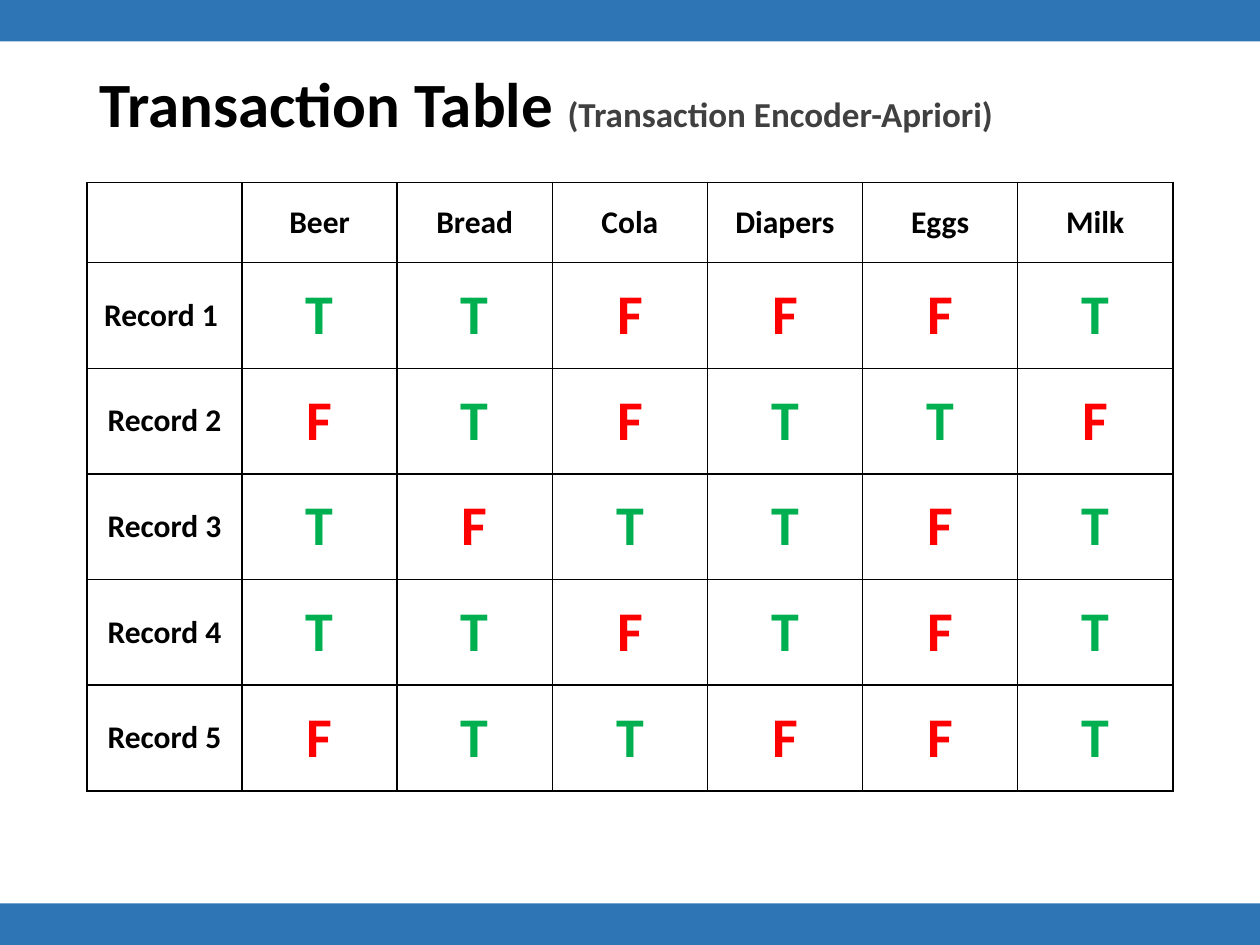
from lxml import etree
from pptx import Presentation
from pptx import util as u
from pptx.dml.color import RGBColor
from pptx.enum import shapes, text
from pptx.oxml.ns import qn

BLUE, BLACK, GREY, GREEN, RED = "2E75B6", "000000", "404040", "00B050", "FF0000"
ITEMS = ["Beer", "Bread", "Cola", "Diapers", "Eggs", "Milk"]
RECORDS = {
    "Record 1 ": "TTFFFT",
    "Record 2": "FTFTTF",
    "Record 3": "TFTTFT",
    "Record 4": "TTFTFT",
    "Record 5": "FTTFFT",
}


def rgb(value):
    return RGBColor.from_string(value)


class Deck:
    font = "Calibri"
    width, height = u.Inches(10), u.Inches(7.5)

    def __init__(self):
        self.prs = Presentation()
        self.prs.slide_width, self.prs.slide_height = self.width, self.height
        self.s = self.prs.slides.add_slide(self.prs.slide_layouts[5])

    def box(self, x, y, w, h):
        return (int(x * self.width), int(y * self.height),
                int(w * self.width), int(h * self.height))

    def style(self, r, size, color):
        r.font.name, r.font.size, r.font.bold = self.font, u.Pt(size), True
        r.font.color.rgb = rgb(color)

    def bar(self, y, h, color):
        sp = self.s.shapes.add_shape(shapes.MSO_SHAPE.RECTANGLE, *self.box(0, y, 1, h))
        sp.shadow.inherit = False
        sp.fill.solid()
        sp.fill.fore_color.rgb = rgb(color)
        sp.line.fill.background()

    def title(self, parts, *area):
        sp = self.s.shapes.title
        sp.left, sp.top, sp.width, sp.height = self.box(*area)
        tf = sp.text_frame
        tf.vertical_anchor = text.MSO_ANCHOR.MIDDLE
        p = tf.paragraphs[0]
        p.alignment, p.line_spacing = text.PP_ALIGN.LEFT, 0.9
        for words, size, color in parts:
            r = p.add_run()
            r.text = words
            self.style(r, size, color)

    def borders(self, cell, color, points):
        props = cell._tc.get_or_add_tcPr()
        for i, side in enumerate(("lnL", "lnR", "lnT", "lnB")):
            ln = etree.Element(qn("a:" + side), w=str(u.Pt(points)))
            fill = etree.SubElement(ln, qn("a:solidFill"))
            etree.SubElement(fill, qn("a:srgbClr"), val=color)
            props.insert(i, ln)

    def cell(self, cell, words):
        size, color = {"T": (32, GREEN), "F": (32, RED)}.get(words, (18, BLACK))
        cell.fill.background()
        cell.vertical_anchor = text.MSO_ANCHOR.MIDDLE
        p = cell.text_frame.paragraphs[0]
        p.alignment = text.PP_ALIGN.CENTER
        if words:
            p.text = words
            self.style(p.runs[0], size, color)
        self.borders(cell, BLACK, 1)

    def table(self, rows, head, *area):
        x, y, w, h = self.box(*area)
        tbl = self.s.shapes.add_table(len(rows), len(rows[0]), x, y, w, h).table
        for col in tbl.columns:
            col.width = w // len(rows[0])
        head_height = int(head * self.height)
        for i, row in enumerate(rows):
            tbl.rows[i].height = (h - head_height) // (len(rows) - 1) if i else head_height
            for j, words in enumerate(row):
                self.cell(tbl.cell(i, j), words)


def main():
    deck = Deck()
    bar = 0.044
    for y in (0, 1 - bar):
        deck.bar(y, bar, BLUE)
    left, width = 0.069, 0.862
    deck.title([("Transaction Table ", 36, BLACK),
                ("(Transaction Encoder-Apriori)", 20, GREY)],
               left, 0.053, width, 0.121)
    rows = [["", *ITEMS]] + [[name, *marks] for name, marks in RECORDS.items()]
    deck.table(rows, 0.085, left, 0.193, width, 0.644)
    deck.prs.save("out.pptx")


if __name__ == "__main__":
    main()
